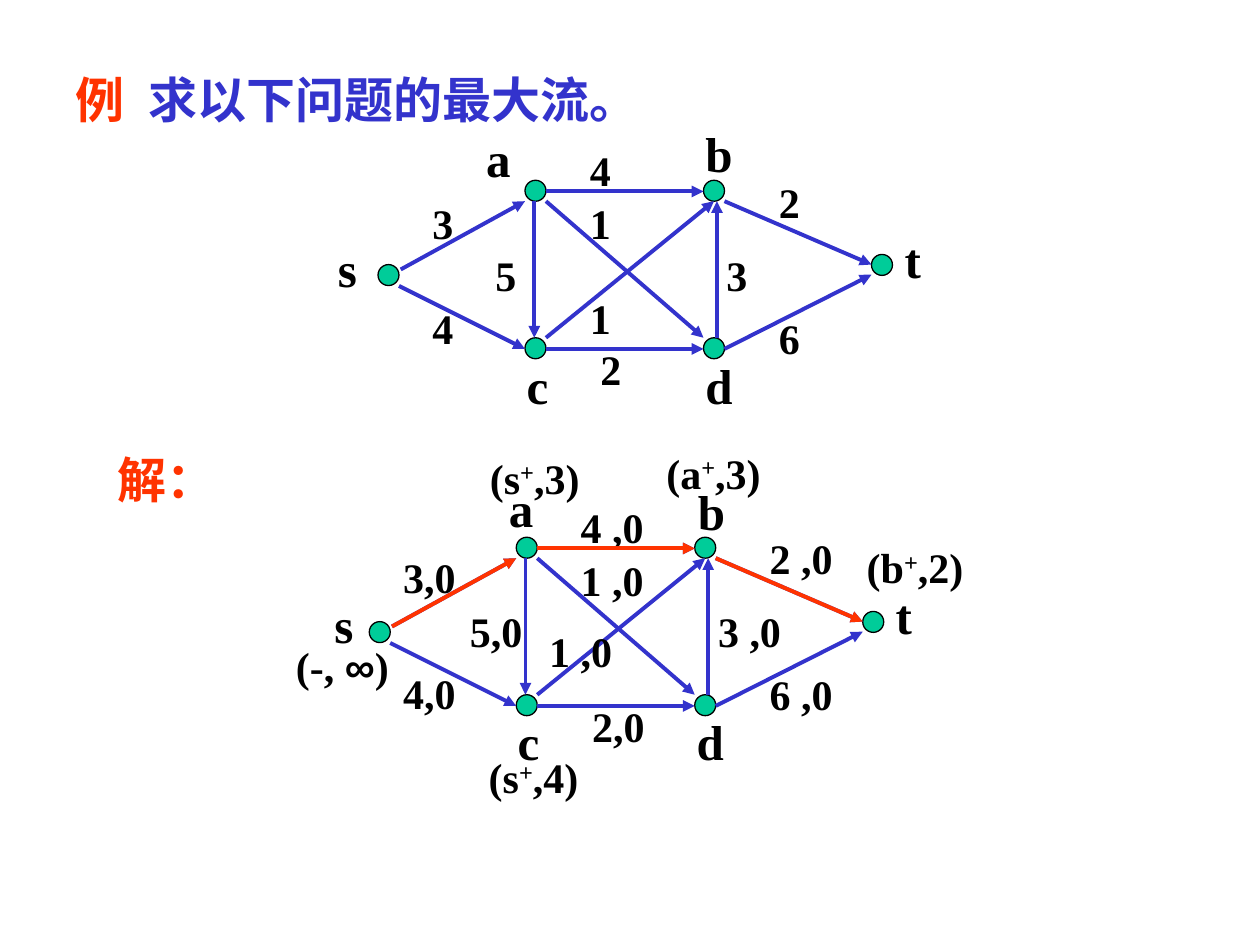
"""Build a slide that poses a maximum flow problem and shows its first labelling step."""

from dataclasses import dataclass

import lxml.etree
import pptx
import pptx.dml.color
import pptx.enum.shapes
import pptx.enum.text
import pptx.oxml.ns
import pptx.util

COLOURS = {"text": "000000", "flow": "3333CC", "accent": "FF3300", "node": "00CC99"}
SERIF = "Times New Roman"
NODE_SIZE = 12
SOLUTION_OFFSET = (-5, 204)


@dataclass(frozen=True)
class Span:
    text: str
    colour: str = "text"
    font: str = SERIF
    raised: bool = False


@dataclass(frozen=True)
class Label:
    spans: tuple[Span, ...]
    left: float
    top: float
    width: float = 36
    size: int = 24
    tab: float = 0
    centred: bool = False


@dataclass(frozen=True)
class Edge:
    start: tuple[float, float]
    end: tuple[float, float]


NODES = [(216, 151.2), (300, 103), (300, 193), (402, 103), (402, 193), (498, 145.4)]

EDGES = {
    "sa": Edge((229, 154), (300, 115)),
    "sc": Edge((228, 163.4), (300, 199.4)),
    "ac": Edge((305.3, 115), (305.3, 193)),
    "ab": Edge((312, 109.4), (402, 109.4)),
    "cd": Edge((312, 199.4), (402, 199.4)),
    "cb": Edge((312, 193), (408, 115)),
    "ad": Edge((312, 115), (402, 193)),
    "db": Edge((409.7, 193), (409.7, 115)),
    "dt": Edge((414, 199.4), (498, 157)),
    "bt": Edge((414, 115), (498, 151.2)),
}
AUGMENTING_PATH = ["sa", "ab", "bt"]


def name(text: str, left: float, top: float, width: float = 36, centred: bool = False) -> Label:
    """Describe the name of a node."""
    return Label((Span(text),), left, top, width, size=28, centred=centred)


def weight(text: str, left: float, top: float, width: float = 36) -> Label:
    """Describe the number beside an edge."""
    return Label((Span(text),), left, top, width)


def mark(source: str, amount: int, left: float, top: float) -> Label:
    """Describe the label that the algorithm gives a node."""
    spans = (Span(f"({source}"), Span("+", raised=True), Span(f",{amount})"))
    return Label(spans, left, top, 72)


PROBLEM_LABELS = [
    name("s", 186, 133), name("b", 396, 67), name("a", 270.7, 70),
    name("d", 396, 199.4), name("c", 293.8, 199.4), name("t", 509.8, 127.4),
    weight("4", 240, 169.2), weight("3", 408, 139), weight("1", 330, 109.4),
    weight("5", 276, 139), weight("1", 330, 163.4), weight("3", 240, 109.4),
    weight("2", 336, 193), weight("6", 438, 175), weight("2", 438, 97.2),
    weight("4", 330, 79.2),
]

SOLUTION_LABELS = [
    name("b", 391.7, 271.4), name("a", 283.7, 270, 30),
    name("s", 180.7, 336.2, 31.7, centred=True),
    name("d", 391, 403.2), name("c", 288.7, 403.2), name("t", 504.7, 331.2),
    weight("4,0", 223.2, 378, 60), weight("3 ,0", 403.2, 342.7, 60),
    weight("1 ,0", 324.7, 313.2, 54), weight("5,0", 261.4, 342.7, 66),
    weight("1 ,0", 306.7, 354.2, 60), weight("3,0", 223.2, 311.8, 48),
    weight("2,0", 331.2, 396.7, 54), weight("6 ,0", 432.7, 378.7, 66),
    weight("2 ,0", 432.7, 301, 60), weight("4 ,0", 324.7, 283, 60),
]

PAGE_LABELS = [
    Label((Span("例\t", "accent"), Span("求以下问题的最大流。", "flow")), 36, 36, 342, 28, tab=42),
    Label((Span("解：", "accent"),), 60, 253.4, 66, 28),
    Label((Span("(-, "), Span("∞", font="Arial"), Span(")")), 162, 362.2, 72),
    mark("s", 3, 272.9, 254.9),
    mark("s", 4, 272.2, 426.2),
    mark("a", 3, 373.7, 252),
    mark("b", 2, 488.2, 306),
]


def rgb(colour: str) -> pptx.dml.color.RGBColor:
    """Look up a colour by its role."""
    return pptx.dml.color.RGBColor.from_string(COLOURS[colour])


def draw_label(shapes, label: Label) -> None:
    """Write one label in a text box."""
    height = 41 if label.size == 28 else 36
    lengths = [pptx.util.Pt(value) for value in (label.left, label.top, label.width, height)]
    box = shapes.add_textbox(*lengths)
    box.text_frame.word_wrap = True
    para = box.text_frame.paragraphs[0]
    if label.centred:
        para.alignment = pptx.enum.text.PP_ALIGN.CENTER
    if label.tab:
        qualify = pptx.oxml.ns.qn
        tabs = lxml.etree.SubElement(para._p.get_or_add_pPr(), qualify("a:tabLst"))
        position = str(pptx.util.Pt(label.tab))
        lxml.etree.SubElement(tabs, qualify("a:tab"), pos=position, algn="l")
    for part in label.spans:
        span = para.add_run()
        span.text = part.text
        formats = {"name": part.font, "size": pptx.util.Pt(label.size), "bold": True}
        for attribute, value in formats.items():
            setattr(span.font, attribute, value)
        span.font.color.rgb = rgb(part.colour)
        if part.raised:
            span._r.get_or_add_rPr().set("baseline", "30000")


def draw_node(shapes, left: float, top: float) -> None:
    """Draw one node as a small disc."""
    lengths = [pptx.util.Pt(value) for value in (left, top, NODE_SIZE, NODE_SIZE)]
    disc = shapes.add_shape(pptx.enum.shapes.MSO_SHAPE.OVAL, *lengths)
    disc.shadow.inherit = False
    disc.fill.solid()
    disc.fill.fore_color.rgb = rgb("node")
    disc.line.color.rgb = rgb("text")
    disc.line.width = pptx.util.Pt(0.75)


def draw_edge(shapes, edge: Edge, offset: tuple[float, float], colour: str) -> None:
    """Draw one edge as an arrow."""
    ends = [pptx.util.Pt(value + shift)
            for point in (edge.start, edge.end) for value, shift in zip(point, offset)]
    arrow = shapes.add_connector(pptx.enum.shapes.MSO_CONNECTOR.STRAIGHT, *ends)
    arrow.line.color.rgb = rgb(colour)
    arrow.line.width = pptx.util.Pt(2.25)
    qualify = pptx.oxml.ns.qn
    lxml.etree.SubElement(arrow.line._get_or_add_ln(), qualify("a:tailEnd"), type="triangle")
    lxml.etree.SubElement(arrow._element.spPr, qualify("a:effectLst"))


def draw_network(page, offset: tuple[float, float], labels: list[Label]) -> None:
    """Draw the whole network as one group."""
    shapes = page.shapes.add_group_shape().shapes
    for left, top in NODES:
        draw_node(shapes, left + offset[0], top + offset[1])
    for edge in EDGES.values():
        draw_edge(shapes, edge, offset, "flow")
    for label in labels:
        draw_label(shapes, label)


def main() -> None:
    """Build and save the deck."""
    deck = pptx.Presentation()
    deck.slide_width, deck.slide_height = pptx.util.Pt(720), pptx.util.Pt(540)
    page = deck.slides.add_slide(deck.slide_layouts[6])
    draw_network(page, (0, 0), PROBLEM_LABELS)
    draw_network(page, SOLUTION_OFFSET, SOLUTION_LABELS)
    for label in PAGE_LABELS:
        draw_label(page.shapes, label)
    path_group = page.shapes.add_group_shape()
    for key in AUGMENTING_PATH:
        draw_edge(path_group.shapes, EDGES[key], SOLUTION_OFFSET, "accent")
    deck.save("out.pptx")


if __name__ == "__main__":
    main()
